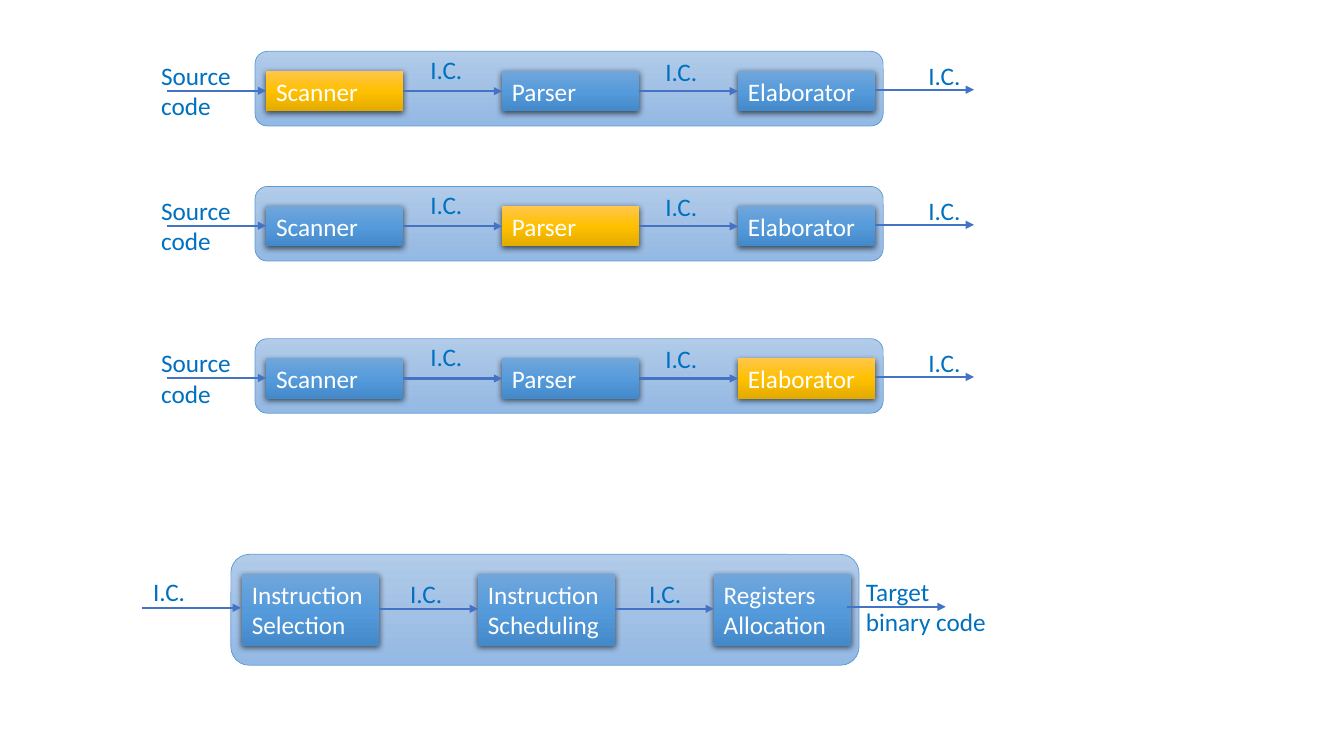
from pptx import Presentation
from pptx.dml.color import RGBColor
from pptx.enum.shapes import MSO_CONNECTOR, MSO_SHAPE
from pptx.enum.text import MSO_ANCHOR, MSO_AUTO_SIZE, PP_ALIGN
from pptx.oxml import parse_xml
from pptx.oxml.ns import nsdecls, qn
from pptx.util import Inches, Pt
from copy import deepcopy

RECTANGLE = MSO_SHAPE.RECTANGLE
ROUNDED = MSO_SHAPE.ROUNDED_RECTANGLE
STRAIGHT = MSO_CONNECTOR.STRAIGHT
FIT_TEXT = MSO_AUTO_SIZE.SHAPE_TO_FIT_TEXT
TOP = MSO_ANCHOR.TOP
LEFT = PP_ALIGN.LEFT

WHITE = RGBColor(0xFF, 0xFF, 0xFF)
LABEL_BLUE = RGBColor(0x00, 0x70, 0xC0)
ARROW_BLUE = RGBColor(0x44, 0x72, 0xC4)
FRAME_LINE = RGBColor(0x5B, 0x9B, 0xD5)
# Gradients run from top to bottom
FRAME_FILL = (RGBColor(0xB1, 0xCB, 0xE9), RGBColor(0xA3, 0xC1, 0xE5), RGBColor(0x93, 0xB9, 0xE4))
STAGE_FILL = (RGBColor(0x71, 0xA6, 0xDB), RGBColor(0x55, 0x9B, 0xDB), RGBColor(0x44, 0x8A, 0xCA))
ACTIVE_FILL = (RGBColor(0xFF, 0xC6, 0x4B), RGBColor(0xFF, 0xC0, 0x00), RGBColor(0xE3, 0xAB, 0x00))

FONT = "Calibri"
TEXT_SIZE = Pt(18)
FRAME_WIDTH = 6.23
STAGE_WIDTH = 1.36
STAGE_PITCH = 2.34
STAGE_INSET = 0.11
ARROW_LENGTH = 0.98
LINE_HEIGHT = 0.4
TWO_LINES = 0.71

FRONT_STAGES = ("Scanner", "Parser", "Elaborator")
BACK_STAGES = ("Instruction\nSelection", "Instruction\nScheduling", "Registers\nAllocation")
FRONT_TOPS = (0.51, 1.85, 3.36)


def fill_gradient(shape, colors):
    shape.fill.gradient()
    shape.fill.gradient_angle = 270
    stop_list = shape._element.spPr.find(qn("a:gradFill")).find(qn("a:gsLst"))
    stop_list.append(deepcopy(stop_list[-1]))
    for stop, position, color in zip(shape.fill.gradient_stops, (0, 0.5, 1), colors):
        stop.position = position
        stop.color.rgb = color


def add_shadow(shape):
    effects = shape._element.spPr.find(qn("a:effectLst"))
    effects.append(parse_xml(
        f'<a:outerShdw {nsdecls("a")} blurRad="{Pt(4.5)}" dist="{Pt(1.5)}" dir="5400000" '
        'algn="ctr" rotWithShape="0"><a:srgbClr val="000000"><a:alpha val="63000"/>'
        '</a:srgbClr></a:outerShdw>'))


def write_text(box, text, color):
    frame = box.text_frame
    frame.word_wrap = True
    frame.auto_size = FIT_TEXT
    frame.vertical_anchor = TOP
    for index, line in enumerate(text.split("\n")):
        para = frame.paragraphs[0] if index == 0 else frame.add_paragraph()
        para.alignment = LEFT
        span = para.add_run()
        span.text = line
        span.font.name = FONT
        span.font.size = TEXT_SIZE
        span.font.color.rgb = color


def add_panel(page, kind, left, top, width, height, colors):
    panel = page.shapes.add_shape(
        kind, Inches(left), Inches(top), Inches(width), Inches(height))
    panel.shadow.inherit = False
    fill_gradient(panel, colors)
    return panel


def add_frame(page, left, top, height):
    frame = add_panel(page, ROUNDED, left, top, FRAME_WIDTH, height, FRAME_FILL)
    frame.line.color.rgb = FRAME_LINE
    frame.line.width = Pt(0.5)


def add_stage(page, left, top, height, text, colors):
    stage = add_panel(page, RECTANGLE, left, top, STAGE_WIDTH, height, colors)
    stage.line.fill.background()
    add_shadow(stage)
    write_text(stage, text, WHITE)


def add_arrow(page, left, y):
    arrow = page.shapes.add_connector(
        STRAIGHT, Inches(left), Inches(y), Inches(left + ARROW_LENGTH), Inches(y))
    arrow.line.color.rgb = ARROW_BLUE
    arrow.line.width = Pt(1.5)
    arrow.line._get_or_add_ln().append(
        parse_xml(f'<a:tailEnd {nsdecls("a")} type="triangle"/>'))
    arrow._element.spPr.append(parse_xml(f'<a:effectLst {nsdecls("a")}/>'))


def add_label(page, left, top, width, height, text):
    box = page.shapes.add_textbox(
        Inches(left), Inches(top), Inches(width), Inches(height))
    write_text(box, text, LABEL_BLUE)


def add_pipeline(page, left, top, frame_height, stage_height, stages, active, arrows, labels):
    """Draw a framed row; arrows and labels are placed relative to the frame."""
    add_frame(page, left, top, frame_height)
    for index, text in enumerate(stages):
        colors = ACTIVE_FILL if index == active else STAGE_FILL
        add_stage(page, left + STAGE_INSET + index * STAGE_PITCH, top + 0.195,
                  stage_height, text, colors)
    for x, y in arrows:
        add_arrow(page, left + x, top + y)
    for x, y, width, height, text in labels:
        add_label(page, left + x, top + y, width, height, text)


def main():
    deck = Presentation()
    deck.slide_width = Inches(13.33)
    deck.slide_height = Inches(7.5)
    page = deck.slides.add_slide(deck.slide_layouts[6])

    # Front end: one row per active stage
    front_arrows = ((-0.87, 0.39), (1.47, 0.395), (3.81, 0.395), (6.15, 0.38))
    front_labels = (
        (-1.03, 0.04, 1.03, TWO_LINES, "Source code"),
        (1.64, -0.02, 0.66, LINE_HEIGHT, "I.C."),
        (3.97, 0, 0.66, LINE_HEIGHT, "I.C."),
        (6.58, 0.04, 1.32, LINE_HEIGHT, "I.C."),
    )
    for active, top in enumerate(FRONT_TOPS):
        add_pipeline(page, 2.53, top, 0.74, LINE_HEIGHT, FRONT_STAGES, active,
                     front_arrows, front_labels)

    # Back end: no active stage
    back_arrows = ((-0.88, 0.53), (1.47, 0.54), (3.81, 0.54), (6.11, 0.52))
    back_labels = (
        (-0.87, 0.17, 0.83, LINE_HEIGHT, "I.C."),
        (1.68, 0.19, 0.66, LINE_HEIGHT, "I.C."),
        (4.05, 0.19, 0.66, LINE_HEIGHT, "I.C."),
        (6.2, 0.17, 1.67, TWO_LINES, "Target\nbinary code"),
    )
    add_pipeline(page, 2.29, 5.5, 1.1, TWO_LINES, BACK_STAGES, None,
                 back_arrows, back_labels)

    deck.save("out.pptx")


main()
